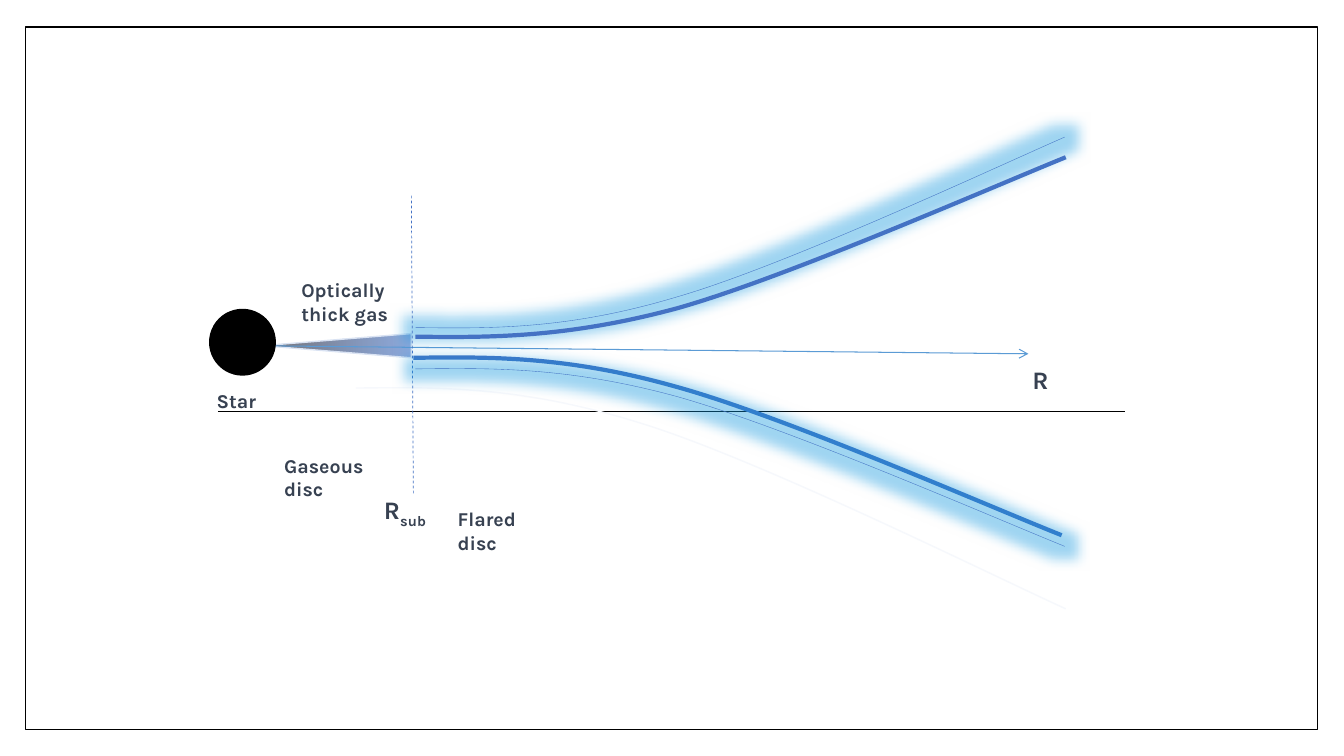
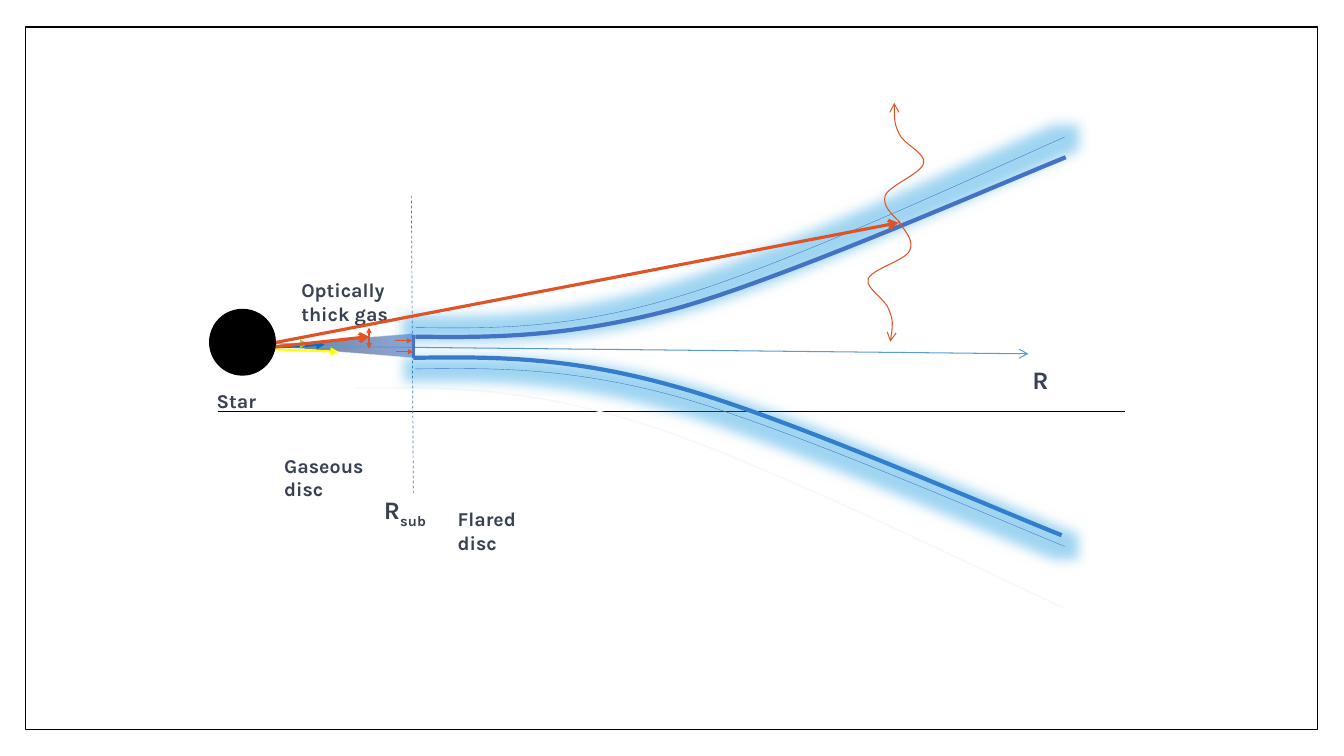
from dataclasses import dataclass

from lxml.etree import SubElement
from pptx import Presentation
from pptx.dml.color import RGBColor
from pptx.enum.dml import MSO_LINE
from pptx.enum.shapes import MSO_CONNECTOR, MSO_SHAPE
from pptx.enum.text import MSO_AUTO_SIZE
from pptx.oxml.ns import qn
from pptx.shapes.base import BaseShape
from pptx.slide import Slide, SlideLayout
from pptx.util import Pt

PX = 9144
FONT = "Karla"
STRAIGHT = MSO_CONNECTOR.STRAIGHT
RECT = MSO_SHAPE.RECTANGLE
OVAL = MSO_SHAPE.OVAL
DASH = MSO_LINE.DASH
GROW = MSO_AUTO_SIZE.SHAPE_TO_FIT_TEXT

WHITE = RGBColor(0xFF, 0xFF, 0xFF)
BLACK = RGBColor(0x00, 0x00, 0x00)
INK = RGBColor(0x37, 0x41, 0x51)
BLUE = RGBColor(0x44, 0x72, 0xC4)
SKY = RGBColor(0x5B, 0x9B, 0xD5)
GLOW = RGBColor(0x11, 0x96, 0xDE)
GREY = RGBColor(0x76, 0x71, 0x71)
STEEL = RGBColor(0x69, 0x8E, 0xD0)
PALE = RGBColor(0xDA, 0xE3, 0xF3)
FAINT = RGBColor(0xF6, 0xF8, 0xFC)
DEEP = RGBColor(0x00, 0x70, 0xC0)
GREEN = RGBColor(0x92, 0xD0, 0x50)
YELLOW = RGBColor(0xFF, 0xFF, 0x00)
RED = RGBColor(0xDF, 0x53, 0x27)

Point = tuple[int, int]


@dataclass(frozen=True)
class Ray:
    start: Point
    end: Point
    color: RGBColor
    width: float
    head: str = ""
    size: str = "med"
    dashed: bool = False


@dataclass(frozen=True)
class Curve:
    points: tuple[Point, ...]
    color: RGBColor
    width: float
    head: str = ""
    glow: bool = False


@dataclass(frozen=True)
class Label:
    text: str
    left: int
    top: int
    width: int
    height: int
    size: int = 14
    sub: str = ""


AXIS = Ray((257, 343), (1020, 351), SKY, 0.75, "arrow")
RIM = Ray((408, 194), (410, 491), BLUE, 0.5, dashed=True)
BASE = Ray((216, 408), (1116, 408), BLACK, 0.79)

CURVES = (
    Curve(((412, 325), (487, 326), (563, 327), (670, 295),
           (778, 264), (983, 168), (1056, 136)), BLUE, 0.25, glow=True),
    Curve(((353, 385), (436, 384), (518, 383), (636, 420),
           (753, 456), (976, 567), (1057, 604)), FAINT, 1),
    Curve(((412, 334), (487, 335), (563, 335), (671, 306),
           (778, 276), (983, 186), (1057, 156)), BLUE, 3),
    Curve(((410, 355), (485, 354), (561, 353), (668, 383),
           (775, 412), (980, 502), (1053, 531)), BLUE, 3),
    Curve(((412, 366), (488, 365), (563, 364), (670, 393),
           (778, 423), (982, 512), (1056, 542)), BLUE, 0.25, glow=True),
)

LABELS = (
    Label("Flared disc", 444, 498, 92, 57),
    Label("Gaseous disc", 272, 445, 130, 57),
    Label("R", 371, 486, 65, 40, 18, "sub"),
    Label("R", 1014, 357, 83, 40, 18),
    Label("Star", 205, 381, 130, 34),
    Label("Optically thick gas", 289, 271, 130, 57),
)

BEAMS = (
    Ray((410, 332), (410, 355), BLUE, 2.25),
    Ray((254, 346), (322, 342), DEEP, 1.5, "triangle"),
    Ray((260, 341), (306, 341), GREEN, 0.79, "triangle"),
    Ray((258, 346), (336, 349), YELLOW, 1.5, "triangle"),
    Ray((229, 349), (366, 334), RED, 2.25, "arrow"),
    Ray((267, 341), (891, 221), RED, 2.25, "arrow"),
)

WAVES = (
    Curve(((891, 220), (899, 230), (907, 240), (902, 249), (897, 259),
           (864, 267), (861, 277), (858, 286), (879, 297), (882, 308),
           (886, 318), (885, 328), (883, 339)), RED, 0.75, "arrow"),
    Curve(((893, 221), (884, 212), (875, 204), (878, 194), (882, 184),
           (914, 172), (916, 162), (919, 152), (896, 143), (892, 133),
           (887, 123), (887, 113), (887, 102)), RED, 0.75, "arrow"),
)

DARTS = tuple(
    Ray(start, end, RED, 0.75, "triangle", "sm")
    for start, end in (
        ((366, 334), (366, 346)),
        ((366, 336), (366, 325)),
        ((392, 338), (409, 338)),
        ((393, 349), (410, 349)),
    )
)


def stroke(shape: BaseShape, color: RGBColor, width: float) -> None:
    shape.line.color.rgb = color
    shape.line.width = Pt(width)


def add_head(shape: BaseShape, head: str, size: str = "med") -> None:
    if head:
        line = shape.element.xpath(".//a:ln")[0]
        SubElement(line, qn("a:tailEnd"), type=head, w=size, len=size)


def draw_ray(slide: Slide, ray: Ray) -> BaseShape:
    ends = [PX * n for n in ray.start + ray.end]
    shape = slide.shapes.add_connector(STRAIGHT, *ends)
    stroke(shape, ray.color, ray.width)
    if ray.dashed:
        shape.line.dash_style = DASH
    add_head(shape, ray.head, ray.size)
    SubElement(shape.element.spPr, qn("a:effectLst"))
    return shape


def outline(slide: Slide, points: tuple[Point, ...], close: bool) -> BaseShape:
    path = [(PX * x, PX * y) for x, y in points]
    pen = slide.shapes.build_freeform(*path[0])
    pen.add_line_segments(path[1:], close=close)
    shape = pen.convert_to_shape()
    shape.shadow.inherit = False
    return shape


def bend(shape: BaseShape) -> None:
    path = shape.element.xpath(".//a:path")[0]
    legs = path.findall(qn("a:lnTo"))
    for k in range(0, len(legs), 3):
        arc = SubElement(path, qn("a:cubicBezTo"))
        for leg in legs[k:k + 3]:
            arc.append(leg[0])
            path.remove(leg)


def draw_curve(slide: Slide, curve: Curve) -> None:
    shape = outline(slide, curve.points, False)
    bend(shape)
    shape.fill.background()
    stroke(shape, curve.color, curve.width)
    add_head(shape, curve.head)
    if curve.glow:
        effects = shape.element.xpath(".//a:effectLst")[0]
        glow = SubElement(effects, qn("a:glow"), rad=str(Pt(18)))
        tint = SubElement(glow, qn("a:srgbClr"), val=str(GLOW))
        SubElement(tint, qn("a:alpha"), val="40000")


def draw_wedge(slide: Slide, tip: int, width: float) -> None:
    base = tip + 147
    shape = outline(slide, ((base, 355), (tip, 343), (base, 331)), True)
    shape.fill.gradient()
    shape.fill.gradient_angle = 0
    for stop, color in zip(shape.fill.gradient_stops, (GREY, STEEL)):
        stop.color.rgb = color
    last = shape.element.xpath(".//a:gs/a:srgbClr")[-1]
    SubElement(last, qn("a:alpha"), val="75000")
    stroke(shape, PALE, width)


def draw_solid(slide: Slide, kind: MSO_SHAPE, box: tuple[int, int, int, int],
               color: RGBColor) -> BaseShape:
    shape = slide.shapes.add_shape(kind, *(PX * n for n in box))
    shape.shadow.inherit = False
    shape.fill.solid()
    shape.fill.fore_color.rgb = color
    stroke(shape, BLACK, 1)
    return shape


def draw_star(slide: Slide) -> None:
    draw_solid(slide, OVAL, (208, 307, 65, 65), BLACK)


def draw_label(slide: Slide, label: Label) -> None:
    box = (label.left, label.top, label.width, label.height)
    shape = slide.shapes.add_textbox(*(PX * n for n in box))
    frame = shape.text_frame
    frame.word_wrap = not label.sub
    frame.auto_size = GROW
    para = frame.paragraphs[0]
    para.space_after = Pt(8)
    for text in filter(None, (label.text, label.sub)):
        run = para.add_run()
        run.text = text
        run.font.name = FONT
        run.font.size = Pt(label.size)
        run.font.bold = True
        run.font.color.rgb = INK
    if label.sub:
        shape.element.xpath(".//a:rPr")[-1].set("baseline", "-25000")


def draw_disc(slide: Slide) -> None:
    for curve in CURVES[:2]:
        draw_curve(slide, curve)
    draw_ray(slide, RIM)
    for label in LABELS:
        draw_label(slide, label)
    for curve in CURVES[2:]:
        draw_curve(slide, curve)


def draw_light(slide: Slide) -> None:
    down, up = WAVES
    for ray in BEAMS[:4]:
        draw_ray(slide, ray)
    draw_curve(slide, down)
    for ray in BEAMS[4:]:
        draw_ray(slide, ray)
    draw_star(slide)
    draw_curve(slide, up)
    for ray in DARTS:
        draw_ray(slide, ray)


def set_layout(slide: Slide, layout: SlideLayout) -> None:
    frame = draw_solid(slide, RECT, (25, 27, 1282, 697), WHITE)
    for shape in (frame, draw_ray(slide, BASE)):
        layout.shapes.element.append(shape.element)


def main() -> None:
    deck = Presentation()
    deck.slide_width = 1333 * PX
    deck.slide_height = 750 * PX
    layout = deck.slide_layouts[6]
    plain, lit = (deck.slides.add_slide(layout) for _ in range(2))
    set_layout(plain, layout)

    draw_wedge(plain, 261, 1)
    draw_ray(plain, AXIS)
    draw_star(plain)
    draw_disc(plain)

    draw_wedge(lit, 263, 0.25)
    draw_ray(lit, AXIS)
    draw_disc(lit)
    draw_light(lit)
    deck.save("out.pptx")


if __name__ == "__main__":
    main()
